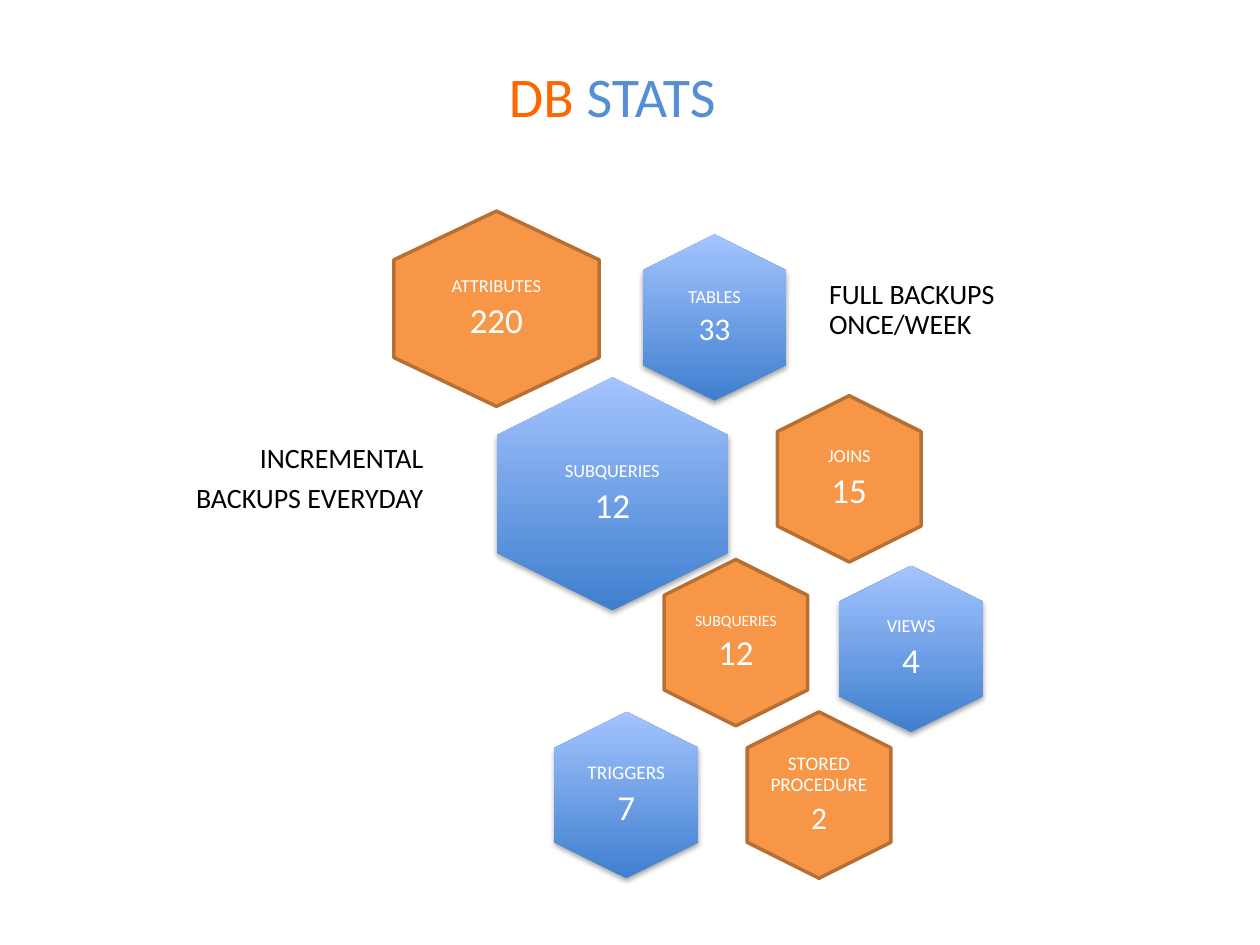
import pptx
import pptx.util
import pptx.dml.color
import pptx.enum.shapes
import pptx.enum.text
import pptx.oxml
import pptx.oxml.ns
from typing import NamedTuple

SLIDE_WIDTH = pptx.util.Inches(10)
SLIDE_HEIGHT = pptx.util.Inches(7.5)
COLUMN = SLIDE_WIDTH / 100
ROW = SLIDE_HEIGHT / 75

TITLE_ORANGE = pptx.dml.color.RGBColor(0xFF, 0x66, 0x00)
TITLE_BLUE = pptx.dml.color.RGBColor(0x55, 0x8E, 0xD5)
ORANGE = pptx.dml.color.RGBColor(0xF7, 0x96, 0x46)
BROWN = pptx.dml.color.RGBColor(0xB7, 0x6F, 0x34)
DEEP_BLUE = pptx.dml.color.RGBColor(0x3F, 0x7F, 0xCE)
PALE_BLUE = pptx.dml.color.RGBColor(0xA4, 0xC4, 0xFF)
WHITE = pptx.dml.color.RGBColor(0xFF, 0xFF, 0xFF)
BLACK = pptx.dml.color.RGBColor(0x00, 0x00, 0x00)

FONT = "Calibri"
ALIGN = pptx.enum.text.PP_ALIGN

SHADOW = (
    f'<a:effectLst {pptx.oxml.ns.nsdecls("a")}>'
    '<a:outerShdw blurRad="39370" dist="22860" dir="5400000" rotWithShape="0">'
    '<a:srgbClr val="000000"><a:alpha val="35000"/></a:srgbClr>'
    '</a:outerShdw></a:effectLst>'
)


class CellSize(NamedTuple):
    length: float
    breadth: float
    label_width: float
    label_height: float


class Stat(NamedTuple):
    label: str
    value: str
    center_x: float
    center_y: float
    blue: bool
    label_size: float = 10.5
    value_size: float = 20
    inset: float = 0
    size: CellSize = CellSize(13.2, 11.4, 7.9, 9.1)


STATS = [
    Stat("TABLES", "33", 56.7, 25.2, True, value_size=18, inset=0.5),
    Stat("ATTRIBUTES", "220", 39.4, 24.5, False,
         size=CellSize(15.5, 16.3, 10.8, 10.3)),
    Stat("SUBQUERIES", "12", 48.6, 39.2, True, inset=0.5,
         size=CellSize(18.5, 18.3, 12.3, 12.4)),
    Stat("JOINS", "15", 67.4, 38, False),
    Stat("SUBQUERIES", "12", 58.4, 51, False, label_size=9, inset=0.4),
    Stat("STORED PROCEDURE", "2", 65, 63.1, False, label_size=11, value_size=18),
    Stat("TRIGGERS", "7", 49.7, 63.1, True, label_size=11, inset=0.5),
    Stat("VIEWS", "4", 72.3, 51.5, True),
]


def place(left, top, width, height):
    return (round(left * COLUMN), round(top * ROW),
            round(width * COLUMN), round(height * ROW))


def place_around(center_x, center_y, width, height):
    return place(center_x - width / 2, center_y - height / 2, width, height)


def add_title(slide):
    title = slide.shapes.add_textbox(*place(39.4, 4.4, 20.8, 6.4))
    frame = title.text_frame
    frame.word_wrap = False
    frame.auto_size = pptx.enum.text.MSO_AUTO_SIZE.SHAPE_TO_FIT_TEXT
    heading = frame.paragraphs[0]
    heading.font.name = FONT
    heading.font.size = pptx.util.Pt(32)
    for word, color in (("DB ", TITLE_ORANGE), ("STATS", TITLE_BLUE)):
        run = heading.add_run()
        run.text = word
        run.font.color.rgb = color


def add_lines(slide, position, lines, color, align, inset):
    frame = slide.shapes.add_textbox(*position).text_frame
    frame.word_wrap = True
    frame.vertical_anchor = pptx.enum.text.MSO_ANCHOR.MIDDLE
    frame.margin_left = frame.margin_right = round(inset * COLUMN)
    frame.margin_top = frame.margin_bottom = round(inset * ROW)
    for index, (text, size) in enumerate(lines):
        line = frame.add_paragraph() if index else frame.paragraphs[0]
        line.text = text
        line.alignment = align
        line.line_spacing = 0.9
        line.space_after = pptx.util.Pt(0.35 * size)
        line.font.name = FONT
        line.font.size = pptx.util.Pt(size)
        line.font.color.rgb = color


def paint_blue(cell):
    cell.fill.gradient()
    cell.fill.gradient_angle = 90
    for stop, color in zip(cell.fill.gradient_stops, (DEEP_BLUE, PALE_BLUE)):
        stop.color.rgb = color
    properties = cell.element.spPr
    properties.find(pptx.oxml.ns.qn("a:gradFill")).set("rotWithShape", "0")
    cell.line.fill.background()
    properties.append(pptx.oxml.parse_xml(SHADOW))


def paint_orange(cell):
    cell.shadow.inherit = False
    cell.fill.solid()
    cell.fill.fore_color.rgb = ORANGE
    cell.line.color.rgb = BROWN
    cell.line.width = pptx.util.Pt(2)


def add_stat(slide, stat):
    size = stat.size
    cell = slide.shapes.add_shape(
        pptx.enum.shapes.MSO_SHAPE.HEXAGON,
        *place_around(stat.center_x, stat.center_y, size.length, size.breadth))
    cell.rotation = 90
    cell.adjustments[0] = 0.25
    if stat.blue:
        paint_blue(cell)
    else:
        paint_orange(cell)
    add_lines(
        slide,
        place_around(stat.center_x, stat.center_y,
                     size.label_width, size.label_height),
        [(stat.label, stat.label_size), (stat.value, stat.value_size)],
        WHITE, ALIGN.CENTER, stat.inset)


def main():
    deck = pptx.Presentation()
    deck.slide_width = SLIDE_WIDTH
    deck.slide_height = SLIDE_HEIGHT
    slide = deck.slides.add_slide(deck.slide_layouts[6])
    add_title(slide)
    for stat in STATS:
        add_stat(slide, stat)
    add_lines(slide, place(65.1, 20.7, 19.4, 7.9),
              [("FULL BACKUPS ONCE/WEEK", 16)], BLACK, ALIGN.LEFT, 0.7)
    add_lines(slide, place(14.4, 34.1, 19.9, 7.9),
              [("INCREMENTAL", 16), ("BACKUPS EVERYDAY", 16)],
              BLACK, ALIGN.RIGHT, 0.7)
    deck.save("out.pptx")


if __name__ == "__main__":
    main()
